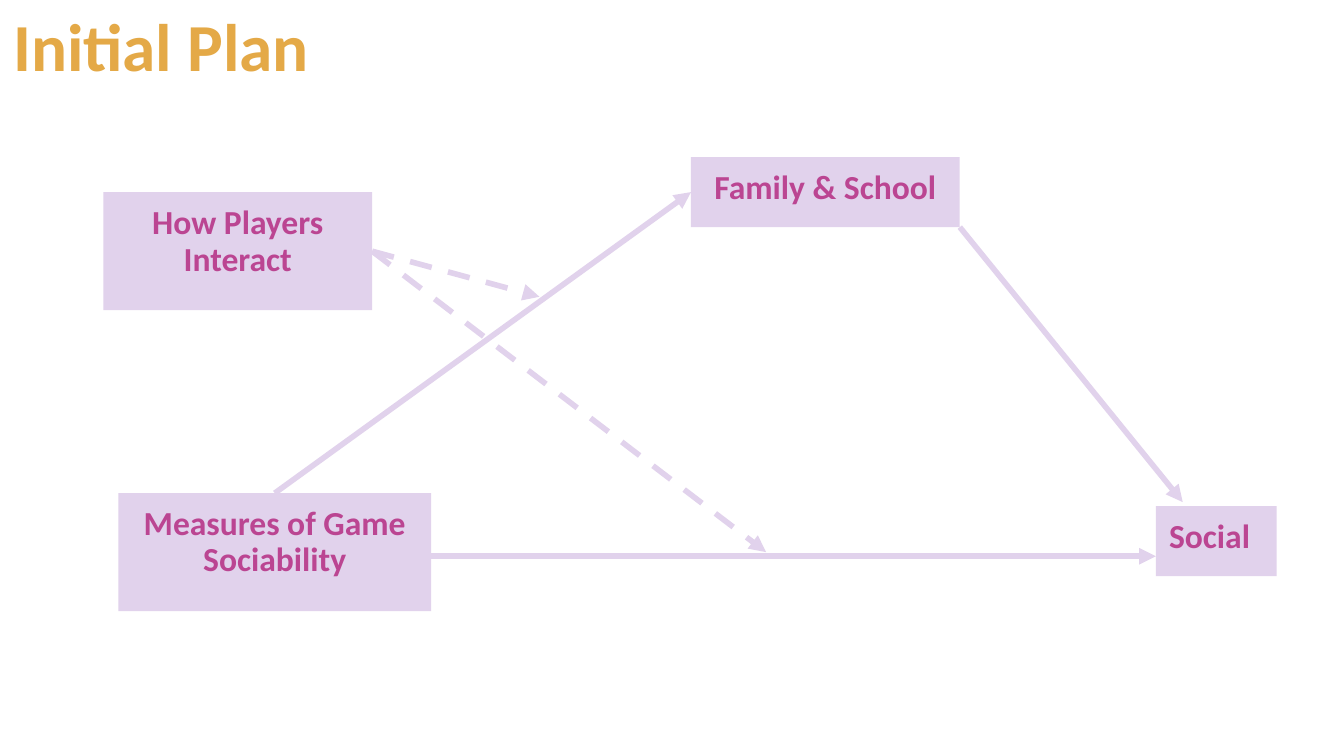
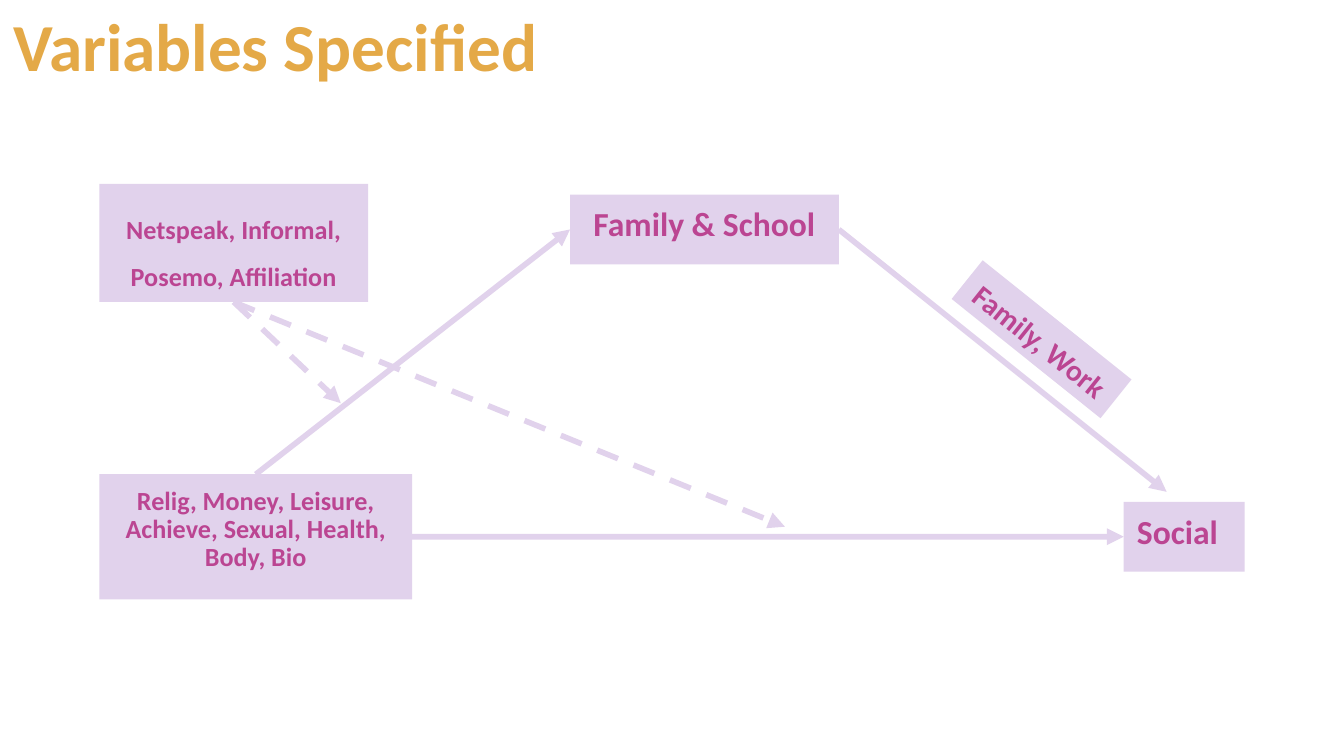
from lxml.etree import SubElement
from pptx import Presentation
from pptx.dml.color import RGBColor
from pptx.enum.dml import MSO_LINE_DASH_STYLE as Dash
from pptx.enum.shapes import MSO_CONNECTOR as Connector, MSO_SHAPE as Shape
from pptx.enum.text import MSO_ANCHOR as Anchor, PP_ALIGN as Align
from pptx.oxml.ns import qn
from pptx.util import Pt

LILAC = RGBColor(0xE1, 0xD2, 0xEC)
MAGENTA = RGBColor(0xBB, 0x45, 0x92)
GOLD = RGBColor(0xE4, 0xA9, 0x47)
FONT = "Calibri"
INSET = Pt(7.2)
TOP, LEFT, BOTTOM, RIGHT = 0, 1, 2, 3

# Box: text, (left, top, width, height), size, line spacing, alignment, rotation
# Arrow: start, end, dashed; an end is (box, side) or a free point (x, y)
DIAGRAMS = [
    {
        "title": "Initial Plan",
        "boxes": {
            "mediator": ("Family & School", (370.2, 84.2, 144, 37.5), 18, 0.9, Align.CENTER, 0),
            "moderator": ("How Players Interact", (55.4, 103, 144, 63.2), 18, 0.9, Align.CENTER, 0),
            "outcome": ("Social", (619.2, 271.2, 64.8, 37.5), 18, 0.9, Align.LEFT, 0),
            "predictor": ("Measures of Game Sociability", (63.4, 264.2, 167.6, 63.2), 18, 0.9, Align.CENTER, 0),
        },
        "arrows": [
            ((231, 298), (619.2, 298), False),
            (("predictor", TOP), ("mediator", LEFT), False),
            ((514.2, 121.7), (633.6, 269), False),
            (("moderator", RIGHT), (289, 159), True),
            (("moderator", RIGHT), (410.4, 295.8), True),
        ],
    },
    {
        "title": "Variables Specified",
        "boxes": {
            "mediator": ("Family & School", (305.4, 104.2, 144, 37.5), 18, 0.9, Align.CENTER, 0),
            "moderator": ("Netspeak, Informal, Posemo, Affiliation", (53.2, 98.6, 144, 63.2), 14, 1.5, Align.CENTER, 0),
            "outcome": ("Social", (602, 268.8, 64.8, 37.5), 18, 0.9, Align.LEFT, 0),
            "predictor": ("Relig, Money, Leisure, Achieve, Sexual, Health, Body, Bio",
                          (53.2, 254.1, 167.6, 67), 14, 0.9, Align.CENTER, 0),
            "path label": ("Family, Work", (506.9, 168.5, 102.2, 26.6), 16, 0.9, Align.CENTER, 38.7),
        },
        "arrows": [
            (("predictor", RIGHT), ("outcome", LEFT), False),
            (("predictor", TOP), ("mediator", LEFT), False),
            (("mediator", RIGHT), (625, 263.5), False),
            (("moderator", BOTTOM), (182.6, 216), True),
            (("moderator", BOTTOM), (420.5, 282.2), True),
        ],
    },
]


def write(shape, text, size, color, spacing=0.9, align=Align.LEFT):
    frame = shape.text_frame
    frame.word_wrap = True
    frame.vertical_anchor = Anchor.TOP
    frame.margin_left = frame.margin_right = INSET
    frame.margin_top = frame.margin_bottom = INSET
    frame.text = text
    paragraph = frame.paragraphs[0]
    paragraph.alignment = align
    paragraph.line_spacing = spacing
    font = paragraph.runs[0].font
    font.name, font.size, font.bold = FONT, Pt(size), True
    font.color.rgb = color


def add_arrow(slide, boxes, start, end, dashed):
    """Draw an arrow, joining each end that names a box."""
    joins = [place[0] in boxes for place in (start, end)]
    points = [(0, 0) if joined else place for place, joined in zip((start, end), joins)]
    arrow = slide.shapes.add_connector(
        Connector.STRAIGHT, *(Pt(value) for point in points for value in point))
    if joins[0]:
        arrow.begin_connect(boxes[start[0]], start[1])
    if joins[1]:
        arrow.end_connect(boxes[end[0]], end[1])
    arrow.line.color.rgb = LILAC
    arrow.line.width = Pt(3)
    if dashed:
        arrow.line.dash_style = Dash.DASH
    SubElement(arrow.line._get_or_add_ln(), qn("a:tailEnd"), type="triangle")
    SubElement(arrow._element.spPr, qn("a:effectLst"))


prs = Presentation()
prs.slide_width, prs.slide_height = Pt(720), Pt(405)

for diagram in DIAGRAMS:
    slide = prs.slides.add_slide(prs.slide_layouts[6])
    boxes = {}
    for role, (text, place, size, spacing, align, rotation) in diagram["boxes"].items():
        box = slide.shapes.add_shape(Shape.RECTANGLE, *map(Pt, place))
        box.shadow.inherit = False
        box.fill.solid()
        box.fill.fore_color.rgb = LILAC
        box.line.fill.background()
        box.rotation = rotation
        write(box, text, size, MAGENTA, spacing, align)
        boxes[role] = box

    title = slide.shapes.add_textbox(0, 0, Pt(410), Pt(37.5))
    write(title, diagram["title"], 36, GOLD)

    for start, end, dashed in diagram["arrows"]:
        add_arrow(slide, boxes, start, end, dashed)

prs.save("out.pptx")
